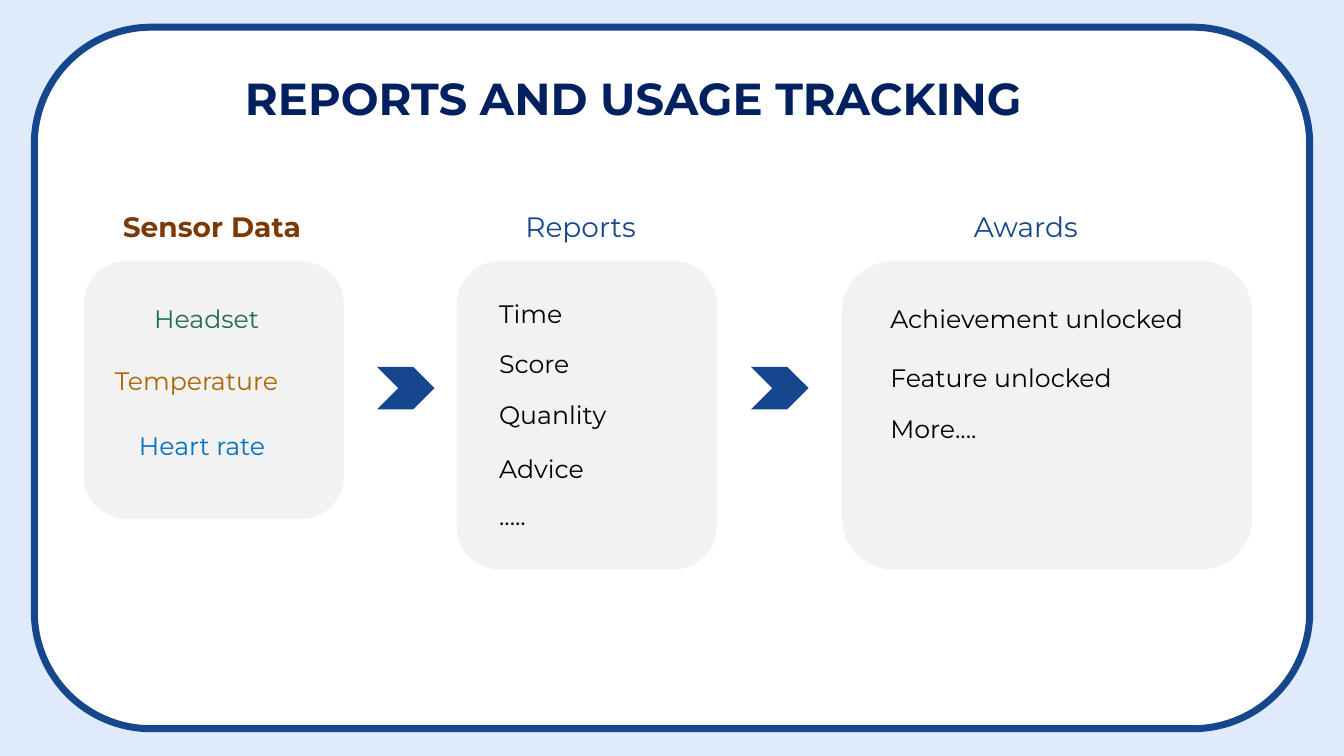
import pptx
import pptx.util
import pptx.dml.color
import pptx.enum.shapes
import pptx.enum.text
import lxml.etree

Inches = pptx.util.Inches
Shapes = pptx.enum.shapes.MSO_SHAPE
NAVY = "16468D"
BLACK = "000000"
PANEL_GRAY = "F2F2F2"


def color(value):
    return pptx.dml.color.RGBColor.from_string(value)


def write(shape, box, lines, size, text_color, bold=False, gaps=(0,)):
    shape.left, shape.top, shape.width, shape.height = map(Inches, box)
    frame = shape.text_frame
    frame.text = "\n".join(lines)
    frame_format = {
        "word_wrap": True,
        "auto_size": pptx.enum.text.MSO_AUTO_SIZE.SHAPE_TO_FIT_TEXT,
        "vertical_anchor": pptx.enum.text.MSO_ANCHOR.TOP,
    }
    for name, value in frame_format.items():
        setattr(frame, name, value)
    font_format = {"name": "Montserrat", "size": pptx.util.Pt(size), "bold": bold}
    for paragraph, gap in zip(frame.paragraphs, gaps):
        paragraph.alignment = pptx.enum.text.PP_ALIGN.LEFT
        paragraph.space_before = pptx.util.Pt(gap)
        properties = paragraph._p.get_or_add_pPr()
        properties.set("marL", "0")
        properties.set("indent", "0")
        lxml.etree.SubElement(properties, pptx.oxml.ns.qn("a:buNone"))
        font = paragraph.runs[0].font
        for name, value in font_format.items():
            setattr(font, name, value)
        font.color.rgb = color(text_color)


presentation = pptx.Presentation()
presentation.slide_width = Inches(13.33)
presentation.slide_height = Inches(7.5)
slide = presentation.slides.add_slide(presentation.slide_layouts.get_by_name("Comparison"))
slide.background.fill.solid()
slide.background.fill.fore_color.rgb = color("DFEAFA")

blocks = [
    (Shapes.ROUNDED_RECTANGLE, (0.34, 0.27, 12.65, 6.96), "FFFFFF", NAVY),
    (Shapes.ROUNDED_RECTANGLE, (0.83, 2.59, 2.58, 2.56), PANEL_GRAY, None),
    (Shapes.ROUNDED_RECTANGLE, (4.53, 2.59, 2.58, 3.06), PANEL_GRAY, None),
    (Shapes.ROUNDED_RECTANGLE, (8.35, 2.59, 4.07, 3.06), PANEL_GRAY, None),
    (Shapes.CHEVRON, (3.74, 3.64, 0.57, 0.42), NAVY, None),
    (Shapes.CHEVRON, (7.45, 3.64, 0.57, 0.42), NAVY, None),
]
for kind, box, fill, outline in blocks:
    shape = slide.shapes.add_shape(kind, *map(Inches, box))
    shape.shadow.inherit = False
    shape.fill.solid()
    shape.fill.fore_color.rgb = color(fill)
    if outline:
        shape.line.color.rgb = color(outline)
        shape.line.width = pptx.util.Pt(5)
    else:
        shape.line.fill.background()

sensor_labels = [
    ((1.12, 2.03, 2.49, 0.44), "Sensor Data", 20, "7C3903", True),
    ((1.43, 2.96, 1.39, 0.4), "Headset", 18, "226E4B", False),
    ((1.04, 3.58, 2.16, 0.4), "Temperature", 18, "AA6500", False),
    ((1.28, 4.22, 1.69, 0.4), "Heart rate", 18, "0070C0", False),
]
for box, label, size, text_color, bold in sensor_labels:
    shape = slide.shapes.add_textbox(*map(Inches, box))
    write(shape, box, [label], size, text_color, bold)

title, reports_heading, reports_list, awards_heading, awards_list = slide.placeholders
for placeholder in (title, reports_heading, reports_list, awards_heading, awards_list):
    placeholder.element.getparent().append(placeholder.element)

write(title, (2.33, 0.65, 8.67, 0.64), ["REPORTS AND USAGE TRACKING"], 32, "002060", True)
write(reports_heading, (5.11, 2.03, 1.55, 0.44), ["Reports"], 20, NAVY)
write(awards_heading, (9.56, 2.03, 1.39, 0.44), ["Awards"], 20, NAVY)
write(reports_list, (4.85, 2.91, 1.48, 2.42),
      ["Time", "Score", "Quanlity", "Advice", "....."], 18, BLACK, gaps=(0, 14, 15, 17, 12))
write(awards_list, (8.73, 2.96, 3.6, 1.5),
      ["Achievement unlocked", "Feature unlocked", "More...."], 18, BLACK, gaps=(0, 20.5, 15))

presentation.save("out.pptx")
